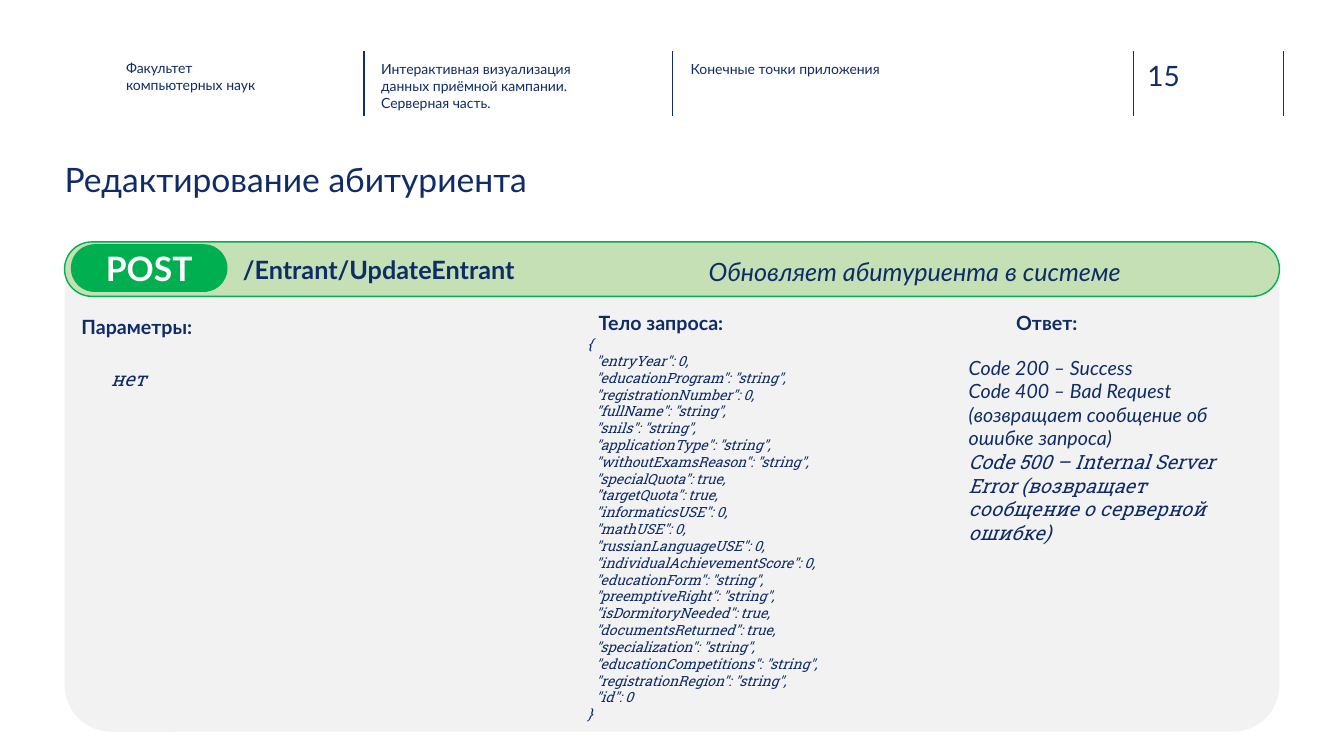
import pptx
import pptx.util
import pptx.dml.color
import pptx.enum.shapes
import pptx.enum.text
import pptx.oxml.ns
import lxml.etree

Inches = pptx.util.Inches
Pt = pptx.util.Pt
ANCHOR = pptx.enum.text.MSO_ANCHOR
ALIGN = pptx.enum.text.PP_ALIGN

HEX = {"navy": "0F2C68", "rule": "102D69", "panel": "F2F2F2",
       "pale": "C5E0B4", "green": "00B050", "white": "FFFFFF"}
LATO, SLAB = "Lato", "Roboto Slab"

TITLE = "Редактирование абитуриента"
HEADS = [
    (1.25, 0.59, ["Факультет", "компьютерных наук"]),
    (3.78, 0.6, ["Интерактивная визуализация данных приёмной кампании. Серверная часть."]),
    (6.85, 0.6, ["Конечные точки приложения"]),
]
RULES = [3.61, 6.67, 11.24, 12.73]
PAGE = "15"
METHOD, ROUTE = "POST", "/Entrant/UpdateEntrant"
ABOUT = "Обновляет абитуриента в системе"
LABELS = [
    (0.71, 3.08, "Параметры:"),
    (5.84, 3.04, "Тело запроса:"),
    (9.98, 3.04, "Ответ:"),
]
PARAMS = "нет"
FIELDS = [
    ("entryYear", "0"), ("educationProgram", '"string"'),
    ("registrationNumber", "0"), ("fullName", '"string"'),
    ("snils", '"string"'), ("applicationType", '"string"'),
    ("withoutExamsReason", '"string"'), ("specialQuota", "true"),
    ("targetQuota", "true"), ("informaticsUSE", "0"), ("mathUSE", "0"),
    ("russianLanguageUSE", "0"), ("individualAchievementScore", "0"),
    ("educationForm", '"string"'), ("preemptiveRight", '"string"'),
    ("isDormitoryNeeded", "true"), ("documentsReturned", "true"),
    ("specialization", '"string"'), ("educationCompetitions", '"string"'),
    ("registrationRegion", '"string"'), ("id", "0"),
]
CODES = [
    "Code 200 – Success",
    "Code 400 – Bad Request (возвращает сообщение об ошибке запроса)",
    "Code 500 – Internal Server Error (возвращает сообщение о серверной ошибке)",
]


def color(name):
    return pptx.dml.color.RGBColor.from_string(HEX[name])


def style(par, size, face=LATO, tint="navy", bold=False, slant=False):
    for run in par.runs:
        font = run.font
        font.size, font.name = Pt(size), face
        font.bold, font.italic = bold, slant
        font.color.rgb = color(tint)


def write(shape, lines, size, inset=None, anchor=ANCHOR.TOP, align=ALIGN.LEFT, **look):
    frame = shape.text_frame
    frame.text = "\n".join(lines)
    frame.word_wrap = True
    frame.auto_size = pptx.enum.text.MSO_AUTO_SIZE.NONE
    frame.vertical_anchor = anchor
    if inset is not None:
        frame.margin_left = frame.margin_right = Inches(inset)
        frame.margin_top = frame.margin_bottom = Inches(inset)
    for par in frame.paragraphs:
        par.alignment = align
        par.space_before = Pt(0)
        style(par, size, **look)
    return frame


def place(shape, left, top, width, height):
    shape.left, shape.top = Inches(left), Inches(top)
    shape.width, shape.height = Inches(width), Inches(height)


def label(box, lines, size, **look):
    shape = slide.shapes.add_textbox(*map(Inches, box))
    return write(shape, lines, size, **look)


def pill(box, round, fill, line=None):
    kind = pptx.enum.shapes.MSO_SHAPE.ROUNDED_RECTANGLE
    shape = slide.shapes.add_shape(kind, *map(Inches, box))
    shape.adjustments[0] = round
    shape.shadow.inherit = False
    shape.fill.solid()
    shape.fill.fore_color.rgb = color(fill)
    if line:
        shape.line.color.rgb = color(line)
        shape.line.width = Pt(1)
    else:
        shape.line.fill.background()
    return shape


def rule(left):
    kind = pptx.enum.shapes.MSO_CONNECTOR.STRAIGHT
    line = slide.shapes.add_connector(
        kind, Inches(left), Inches(0.51), Inches(left), Inches(1.15))
    line.line.color.rgb = color("rule")
    line.line.width = Pt(1)
    props = line.element.spPr
    lxml.etree.SubElement(props, pptx.oxml.ns.qn("a:effectLst"))


def unlist(par):
    props = par._p.get_or_add_pPr()
    props.set("marL", "0")
    props.set("indent", "0")
    lxml.etree.SubElement(props, pptx.oxml.ns.qn("a:buNone"))


deck = pptx.Presentation()
deck.slide_width, deck.slide_height = Inches(13.33), Inches(7.5)
slide = deck.slides.add_slide(deck.slide_layouts[4])
title, *bodies = list(slide.placeholders)

place(title, 0.64, 1.58, 5.74, 0.85)
write(title, [TITLE], 24, inset=0)
for body, (left, top, lines) in zip(bodies, HEADS):
    place(body, left, top, 2.26, 0.45)
    frame = write(body, lines, 10, inset=0)
    for par in frame.paragraphs:
        unlist(par)
for spare in bodies[len(HEADS):]:
    spare.element.getparent().remove(spare.element)

for left in RULES:
    rule(left)
label((11.38, 0.58, 0.73, 0.34), [PAGE], 20, inset=0, tint="rule")

pill((0.64, 2.4, 12.05, 4.86), 0.096, "panel")
bar = pill((0.64, 2.4, 12.05, 0.54), 0.5, "pale", "green")
write(bar, [ROUTE], 18, anchor=ANCHOR.MIDDLE, bold=True)
bar.text_frame.margin_left = Inches(1.69)
badge = pill((0.71, 2.43, 1.54, 0.46), 0.5, "green", "green")
write(badge, [METHOD], 24, anchor=ANCHOR.MIDDLE, align=ALIGN.CENTER,
      tint="white", bold=True)
label((6.93, 2.49, 4.84, 0.4), [ABOUT], 18, slant=True)

for left, top, text in LABELS:
    label((left, top, 1.97, 0.34), [text], 14, bold=True)
label((1, 3.59, 1.88, 0.34), [PARAMS], 14, face=SLAB, slant=True)

pairs = ",\n".join(f'"{key}": {value}' for key, value in FIELDS)
json = label((5.73, 3.28, 2.74, 3.97), ["{", pairs, "}"], 10, face=SLAB, slant=True)
for par in json.paragraphs[1:-1]:
    par._p.get_or_add_pPr().set("marL", str(Inches(0.08)))

reply = label((9.51, 3.48, 3.1, 1.75), CODES, 14, slant=True)
style(reply.paragraphs[-1], 14, face=SLAB, slant=True)

deck.save("out.pptx")
